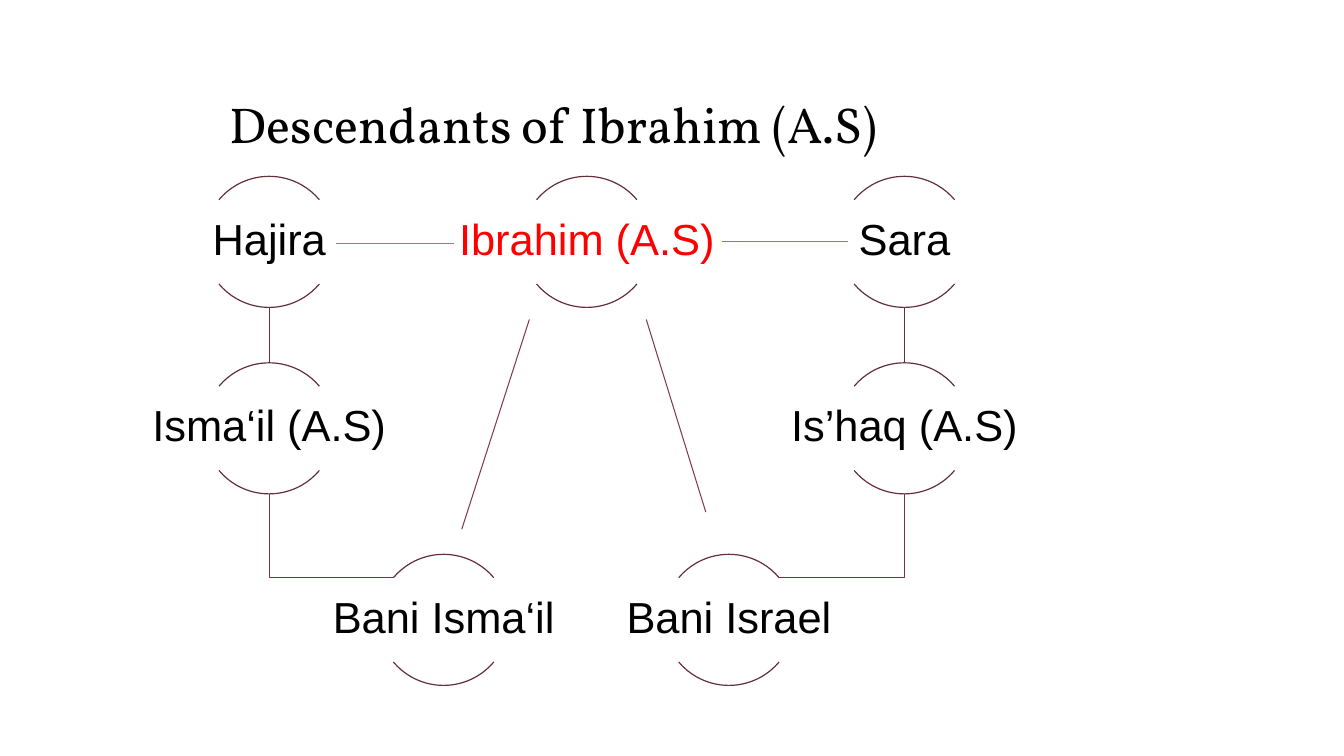
from lxml import etree
from pptx import Presentation
from pptx.dml.color import RGBColor
from pptx.enum.shapes import MSO_CONNECTOR as CONNECTOR, MSO_SHAPE as SHAPE
from pptx.enum.text import MSO_ANCHOR as ANCHOR, PP_ALIGN as ALIGN
from pptx.oxml.ns import qn
from pptx.util import Pt

PX = 9144
COLORS = {
    "text": "000000", "focus": "FF0000", "arc": "632F3A",
    "elbow": "703642", "marriage": "2DA2BF", "lineage": "7D3C4A",
}
CIRCLE = 130
LABEL_WIDTH, LABEL_HEIGHT, LABEL_DROP = 260, 83, 23
ARC_ANGLES = [(132, 192), (24, 84)]
PEOPLE = {
    "Hajira": (202, 175),
    "Isma‘il (A.S)": (202, 360),
    "Bani Isma‘il": (375, 550),
    "Ibrahim (A.S)": (517, 175),
    "Sara": (832, 175),
    "Is’haq (A.S)": (832, 360),
    "Bani Israel": (658, 550),
}
DESCENTS = [("Hajira", "Isma‘il (A.S)"), ("Sara", "Is’haq (A.S)")]
ELBOWS = [("Is’haq (A.S)", 773), ("Isma‘il (A.S)", 390)]
ELBOW_DROP = 83
LOOSE_LINES = [
    ((333, 242), (450, 242), "marriage"),
    ((716, 240), (841, 240), "marriage"),
    ((525, 317), (458, 525), "lineage"),
    ((641, 317), (700, 508), "lineage"),
]


def px(*lengths):
    return [length * PX for length in lengths]


def color(name):
    return RGBColor.from_string(COLORS[name])


def style_line(line, name, width):
    line.color.rgb = color(name)
    line.width = Pt(width)


def add_text(page, box, text, font_name, size, name, anchor, insets):
    frame = page.shapes.add_textbox(*px(*box)).text_frame
    frame.word_wrap = True
    frame.vertical_anchor = anchor
    frame.margin_left = frame.margin_right = insets[0] * PX
    frame.margin_top = frame.margin_bottom = insets[1] * PX
    para = frame.paragraphs[0]
    para.text = text
    para.alignment = ALIGN.CENTER
    para.font.name = font_name
    para.font.size = Pt(size)
    para.font.color.rgb = color(name)
    return para


def add_line(page, start, end, name, width):
    line = page.shapes.add_connector(CONNECTOR.STRAIGHT, *px(*start, *end))
    style_line(line.line, name, width)
    etree.SubElement(line._element.spPr, qn("a:effectLst"))


def add_elbow(page, start, end):
    corner = (start[0], end[1])
    builder = page.shapes.build_freeform(*start, scale=PX)
    builder.add_line_segments([corner, end], close=False)
    elbow = builder.convert_to_shape()
    elbow.fill.background()
    elbow.shadow.inherit = False
    style_line(elbow.line, "elbow", 0.85)


def add_person(page, left, top, name):
    for angles in ARC_ANGLES:
        arc = page.shapes.add_shape(SHAPE.ARC, *px(left, top, CIRCLE, CIRCLE))
        arc.adjustments[0], arc.adjustments[1] = angles
        arc.fill.background()
        arc.shadow.inherit = False
        style_line(arc.line, "arc", 0.85)
    label_left = left + (CIRCLE - LABEL_WIDTH) // 2
    box = (label_left, top + LABEL_DROP, LABEL_WIDTH, LABEL_HEIGHT)
    tint = "focus" if name == "Ibrahim (A.S)" else "text"
    para = add_text(page, box, name, "Arial", 31, tint, ANCHOR.MIDDLE, (2, 2))
    para.line_spacing = 0.9


def foot(name):
    left, top = PEOPLE[name]
    return left + CIRCLE // 2, top + CIRCLE


def add_family_tree(page):
    for name, end_x in ELBOWS:
        start = foot(name)
        add_elbow(page, start, (end_x, start[1] + ELBOW_DROP))
    for parent, child in DESCENTS:
        start = foot(parent)
        add_line(page, start, (start[0], PEOPLE[child][1]), "arc", 0.85)
    for name, (left, top) in PEOPLE.items():
        add_person(page, left, top, name)
    for start, end, name in LOOSE_LINES:
        add_line(page, start, end, name, 0.75)


def main():
    deck = Presentation()
    deck.slide_width, deck.slide_height = px(1333, 750)
    page = deck.slides.add_slide(deck.slide_layouts[6])
    add_text(page, (16, 17, 1066, 142), "Descendants of Ibrahim (A.S)",
             "Vollkorn", 36, "text", ANCHOR.BOTTOM, (13, 7))
    add_family_tree(page)
    deck.save("out.pptx")


if __name__ == "__main__":
    main()
